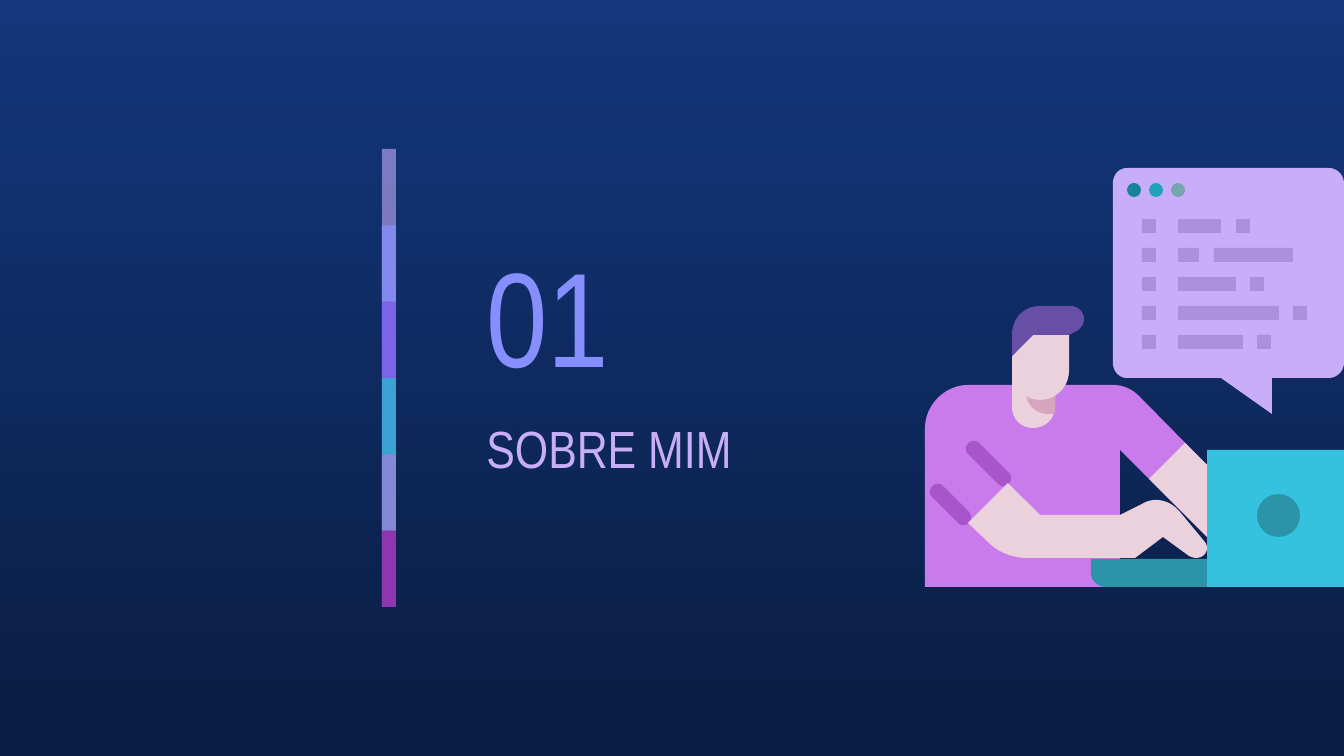
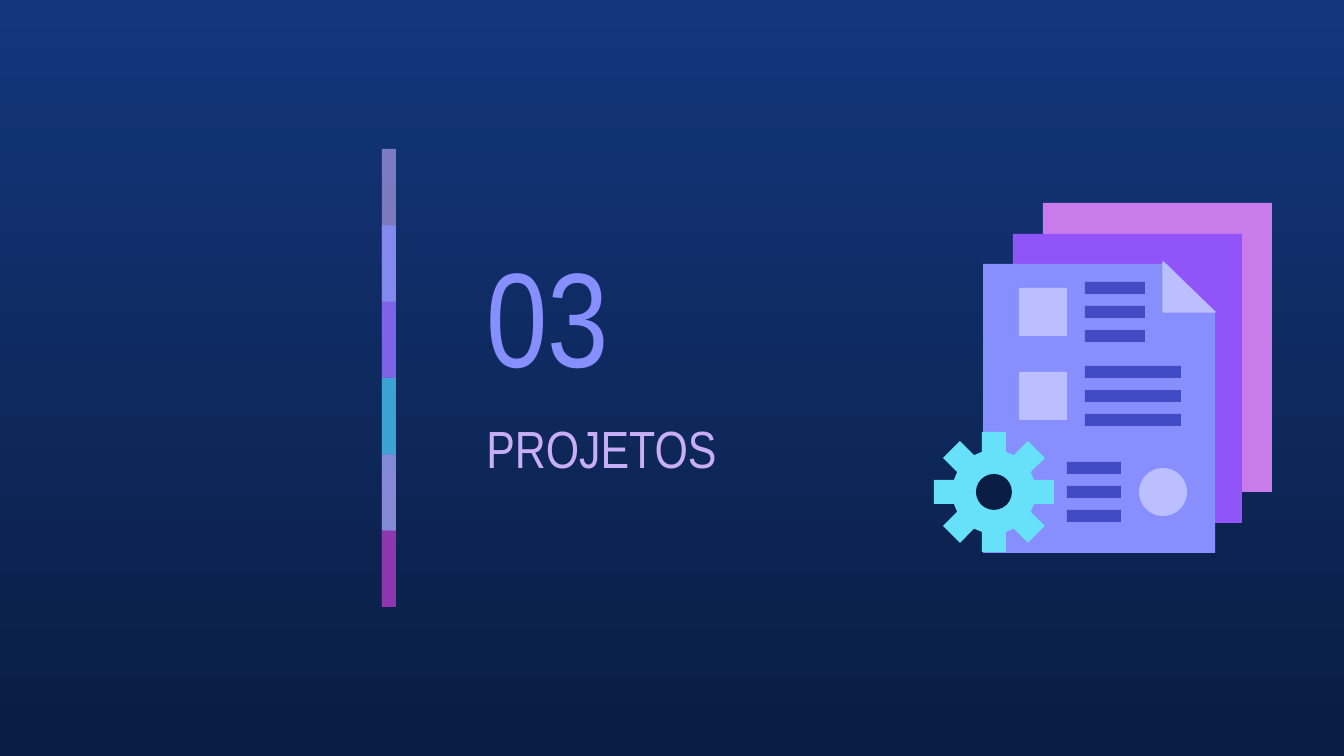
from math import cos, radians, sin

from lxml import etree
from pptx import Presentation
from pptx import util as u
from pptx.dml.color import RGBColor
from pptx.enum import shapes, text
from pptx.oxml.ns import qn

PX = 914400 / 134.4
FONT = "Arial Narrow"
COLORS = {
    "sky": "13367C", "night": "0A1D42", "periwinkle": "878FFF", "lilac": "C8AEF8",
    "orchid": "CA7BEB", "violet": "9154F8", "cyan": "35C2DF", "magenta": "972CB4",
    "stripe": "A855CB", "teal": "2B94A9", "skin": "EAD1DC", "blush": "D5A6BD",
    "code": "AB90DE", "hair": "674EA7", "dark teal": "198298", "turquoise": "22A2BC",
    "grey teal": "76A5AF", "aqua": "67E0F9", "pale": "BBBFFF", "indigo": "424BC4",
}

NUMBER = {"at": (473, 223, 235, 181), "size": 72, "color": "periwinkle",
          "anchor": text.MSO_ANCHOR.MIDDLE}
SECTION = {"at": (473, 403, 386, 129), "size": 28, "color": "lilac",
           "anchor": text.MSO_ANCHOR.TOP}

BAND = {"left": 382, "top": 149, "width": 14, "bottom": 607}
BAND_FILLS = [("lilac", 59), ("periwinkle", 74), ("violet", 53),
              ("cyan", 76), ("orchid", 56), ("magenta", 74)]

PRESETS = {"rect": shapes.MSO_SHAPE.RECTANGLE, "oval": shapes.MSO_SHAPE.OVAL}


def sleeve_stripe(x, y, run):
    end_x, end_y = x + run, y + run
    return [(x + 11, y), (x + 4, y - 7, x - 7, y + 4, x, y + 11),
            (end_x, end_y + 11),
            (end_x + 7, end_y + 18, end_x + 18, end_y + 7, end_x + 11, end_y)]


def gear_outline(x, y, teeth=8):
    tooth = [(40, -12), (60, -12), (60, 12), (40, 12)]
    outline = []
    for index in range(teeth):
        turn = radians(index * 360 / teeth)
        outline += [(x + a * cos(turn) - b * sin(turn), y + a * sin(turn) + b * cos(turn))
                    for a, b in tooth]
    return outline


TORSO = [(968, 385), (945, 385, 925, 405, 925, 428), (925, 587), (1120, 587),
         (1120, 450), (1207, 537), (1207, 465), (1139, 396),
         (1132, 389, 1123, 385, 1113, 385)]
LAPTOP_BASE = [(1091, 559), (1091, 573), (1091, 581, 1098, 587, 1106, 587),
               (1207, 587), (1207, 559)]
NECK = [(1012, 364), (1012, 407), (1012, 419, 1021, 428, 1033, 428),
        (1045, 428, 1055, 419, 1055, 407), (1055, 364)]
NECK_SHADE = [(1026, 364), (1026, 392), (1026, 405, 1036, 414, 1049, 414),
              (1054, 414), (1055, 412, 1055, 410, 1055, 407), (1055, 364)]
NEAR_ARM = [(1008, 483), (968, 523), (988, 542), (999, 553, 1013, 558, 1028, 558),
            (1135, 558), (1163, 537), (1189, 556), (1191, 557, 1194, 558, 1196, 558),
            (1202, 558, 1207, 554, 1207, 548), (1207, 546, 1206, 543, 1204, 541),
            (1180, 512), (1174, 505, 1166, 500, 1156, 500),
            (1151, 500, 1147, 501, 1142, 504), (1120, 515), (1040, 515)]
FAR_ARM = [(1185, 443), (1149, 479), (1207, 537), (1207, 465)]
BUBBLE = [(1127, 168), (1119, 168, 1113, 175, 1113, 183), (1113, 363),
          (1113, 371, 1119, 378, 1127, 378), (1221, 378), (1272, 414), (1272, 378),
          (1329, 378), (1337, 378, 1344, 371, 1344, 363), (1344, 183),
          (1344, 175, 1337, 168, 1329, 168)]
FACE = [(1033, 335), (1012, 356), (1012, 371), (1012, 387, 1024, 400, 1040, 400),
        (1056, 400, 1069, 387, 1069, 371), (1069, 335)]
HAIR = [(1040, 306), (1024, 306, 1012, 318, 1012, 335), (1012, 356), (1033, 335),
        (1069, 335), (1077, 331), (1081, 328, 1084, 324, 1084, 319),
        (1084, 312, 1078, 306, 1071, 306)]
CODE_ROWS = [
    [(1178, 43), (1236, 14)],
    [(1178, 21), (1214, 79)],
    [(1178, 58), (1250, 14)],
    [(1178, 101), (1293, 14)],
    [(1178, 65), (1257, 14)],
]
WINDOW_DOTS = ["dark teal", "turquoise", "grey teal"]

DEVELOPER = [
    ("free", "orchid", TORSO),
    ("free", "stripe", sleeve_stripe(932, 486, 26)),
    ("free", "stripe", sleeve_stripe(968, 443, 30)),
    ("rect", "cyan", (1207, 450, 137, 137)),
    ("free", "teal", LAPTOP_BASE),
    ("free", "skin", NECK),
    ("free", "blush", NECK_SHADE),
    ("free", "skin", NEAR_ARM),
    ("free", "skin", FAR_ARM),
    ("oval", "teal", (1257, 494, 43, 43)),
    ("free", "lilac", BUBBLE),
    *[("rect", "code", (left, 219 + 29 * row, width, 14))
      for row, pieces in enumerate(CODE_ROWS) for left, width in [(1142, 14), *pieces]],
    ("free", "skin", FACE),
    ("free", "hair", HAIR),
    *[("oval", color, (1127 + 22 * index, 183, 14, 14))
      for index, color in enumerate(WINDOW_DOTS)],
]

BACK_SHEET = [(1043, 203), (1043, 234), (1242, 234), (1242, 492), (1272, 492), (1272, 203)]
MIDDLE_SHEET = [(1013, 234), (1013, 264), (1164, 264), (1211, 312), (1211, 523),
                (1242, 523), (1242, 234)]
FRONT_SHEET = [(983, 264), (983, 553), (1215, 553), (1215, 313), (1167, 264)]
FOLD = [(1163, 262), (1163, 312), (1215, 312)]
TEXT_BLOCKS = [(1085, 282, 60), (1085, 366, 96), (1067, 462, 54)]

DOCUMENTS = [
    ("free", "orchid", BACK_SHEET),
    ("free", "violet", MIDDLE_SHEET),
    ("free", "periwinkle", FRONT_SHEET),
    ("free", "aqua", gear_outline(994, 492)),
    ("oval", "night", (976, 474, 36, 36)),
    ("rect", "pale", (1019, 288, 48, 48)),
    ("rect", "pale", (1019, 372, 48, 48)),
    ("oval", "pale", (1139, 468, 48, 48)),
    *[("rect", "indigo", (left, top + 24 * row, width, 12))
      for left, top, width in TEXT_BLOCKS for row in range(3)],
    ("free", "pale", FOLD, 0.75),
]

SLIDES = [("01", "SOBRE MIM", DEVELOPER), ("03", "PROJETOS", DOCUMENTS)]


def px(value):
    return u.Emu(round(value * PX))


def rgb(color):
    return RGBColor.from_string(COLORS[color])


def flatten(outline, steps=12):
    points = [outline[0]]
    for part in outline[1:]:
        if len(part) == 2:
            points.append(part)
            continue
        knots = [points[-1], part[:2], part[2:4], part[4:]]
        for step in range(1, steps + 1):
            t = step / steps
            weights = ((1 - t) ** 3, 3 * t * (1 - t) ** 2, 3 * t * t * (1 - t), t ** 3)
            points.append(tuple(sum(w * knot[axis] for w, knot in zip(weights, knots))
                                for axis in (0, 1)))
    return [(px(x), px(y)) for x, y in points]


def add_piece(group, kind, color, geometry, line=None, opacity=None):
    if kind == "free":
        points = flatten(geometry)
        builder = group.shapes.build_freeform(*points[0], scale=1.0)
        builder.add_line_segments(points[1:], close=True)
        shape = builder.convert_to_shape()
    else:
        shape = group.shapes.add_shape(PRESETS[kind], *map(px, geometry))
    shape.shadow.inherit = False
    shape.fill.solid()
    shape.fill.fore_color.rgb = rgb(color)
    if line:
        shape.line.color.rgb = rgb(color)
        shape.line.width = u.Pt(line)
    else:
        shape.line.fill.background()
    if opacity:
        fill_color = shape.fill._xPr.find(qn("a:solidFill"))[0]
        etree.SubElement(fill_color, qn("a:alpha"), val=str(opacity * 1000))


def add_band(page):
    group = page.shapes.add_group_shape()
    step = (BAND["bottom"] - BAND["top"]) / len(BAND_FILLS)
    for index, (color, opacity) in enumerate(BAND_FILLS):
        top = BAND["top"] + step * index
        height = min(2 * step, BAND["bottom"] - top)
        add_piece(group, "rect", color, (BAND["left"], top, BAND["width"], height),
                  opacity=opacity)


def write_heading(box, words, style):
    box.left, box.top, box.width, box.height = map(px, style["at"])
    frame = box.text_frame
    frame.auto_size = text.MSO_AUTO_SIZE.NONE
    frame.word_wrap = True
    frame.vertical_anchor = style["anchor"]
    frame.margin_left = frame.margin_right = u.Inches(0.1)
    frame.margin_top = frame.margin_bottom = u.Inches(0.1)
    para = frame.paragraphs[0]
    para.alignment = text.PP_ALIGN.LEFT
    para.space_before = u.Pt(0)
    span = para.add_run()
    span.text = words
    span.font.name = FONT
    span.font.size = u.Pt(style["size"])
    span.font.color.rgb = rgb(style["color"])


def paint_background(master):
    fill = master.background.fill
    fill.gradient()
    fill.gradient_angle = 270
    for stop, position, color in zip(fill.gradient_stops, (0, 1), ("sky", "night")):
        stop.position = position
        stop.color.rgb = rgb(color)


def main():
    deck = Presentation()
    deck.slide_width, deck.slide_height = px(1344), px(756)
    paint_background(deck.slide_master)
    for number, section, drawing in SLIDES:
        page = deck.slides.add_slide(deck.slide_layouts[0])
        write_heading(page.shapes.title, number, NUMBER)
        write_heading(page.placeholders[1], section, SECTION)
        group = page.shapes.add_group_shape()
        for piece in drawing:
            add_piece(group, *piece)
        add_band(page)
    deck.save("out.pptx")


if __name__ == "__main__":
    main()
